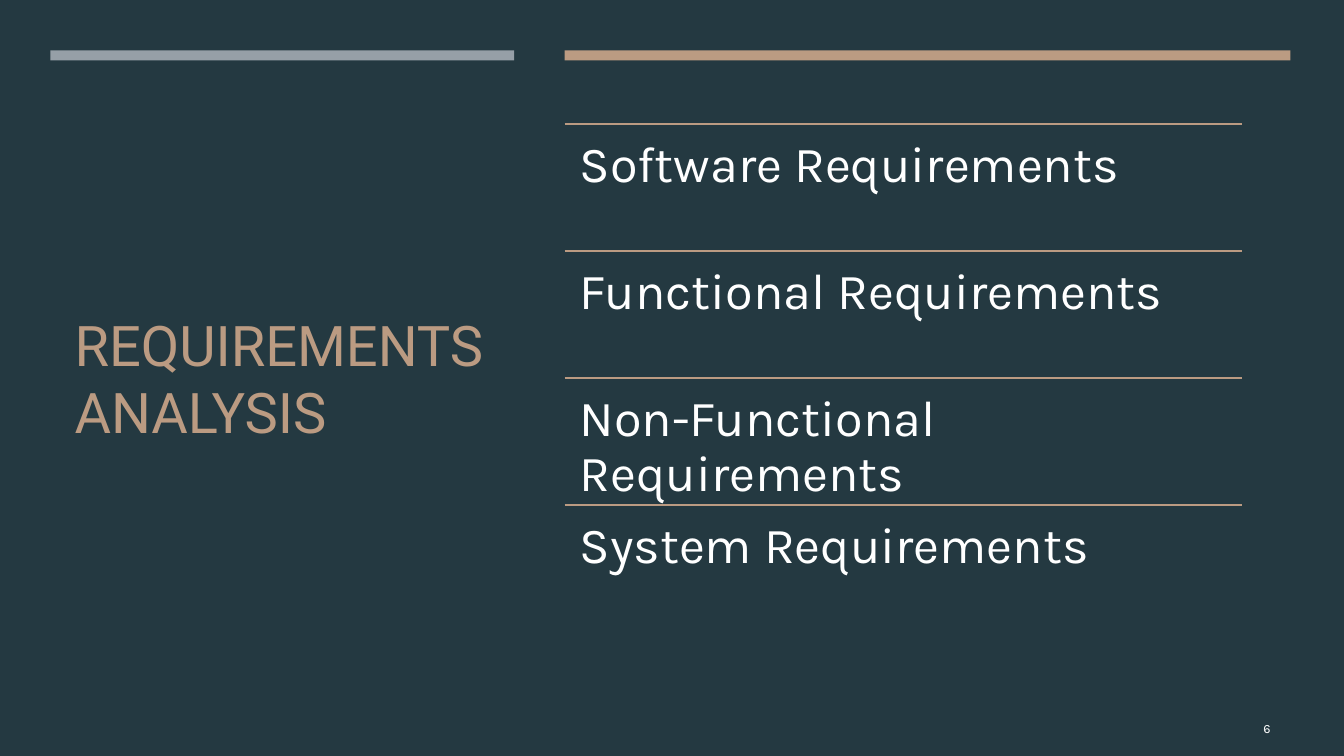
import pptx
import pptx.util
import pptx.dml.color
import pptx.enum.shapes
import pptx.enum.text
import pptx.oxml.ns
from lxml import etree

Inches = pptx.util.Inches
Pt = pptx.util.Pt
PP_ALIGN = pptx.enum.text.PP_ALIGN
MSO_ANCHOR = pptx.enum.text.MSO_ANCHOR

BACKGROUND, TAN, GREY, WHITE = "243941", "BB9B82", "969FA7", "FFFFFF"
TITLE = "REQUIREMENTS ANALYSIS"
REQUIREMENTS = [
    "Software Requirements",
    "Functional Requirements",
    "Non-Functional Requirements",
    "System Requirements",
]
PAGE_NUMBER = "6"
BARS = [(0.5, 4.6, GREY), (5.6, 7.2, TAN)]
LIST_LEFT, LIST_TOP, LIST_WIDTH, ROW_HEIGHT = 5.6, 1.23, 6.72, 1.26


def rgb(color):
    return pptx.dml.color.RGBColor.from_string(color)


def set_text(sp, text, size, font, color, align=PP_ALIGN.LEFT, anchor=MSO_ANCHOR.TOP):
    tf = sp.text_frame
    tf.text = text
    tf.word_wrap = True
    tf.auto_size = pptx.enum.text.MSO_AUTO_SIZE.NONE
    tf.vertical_anchor = anchor
    p = tf.paragraphs[0]
    p.alignment = align
    r = p.runs[0]
    r.font.size = Pt(size)
    r.font.name = font
    r.font.color.rgb = rgb(color)
    return tf


def add_bar(s, left, width, color):
    sp = s.shapes.add_shape(
        pptx.enum.shapes.MSO_SHAPE.RECTANGLE,
        Inches(left), Inches(0.5), Inches(width), Inches(0.1))
    sp.shadow.inherit = False
    sp.fill.solid()
    sp.fill.fore_color.rgb = rgb(color)
    sp.line.fill.background()


def add_requirement(s, top, text):
    rule = s.shapes.add_connector(
        pptx.enum.shapes.MSO_CONNECTOR.STRAIGHT,
        Inches(LIST_LEFT), Inches(top), Inches(LIST_LEFT + LIST_WIDTH), Inches(top))
    rule.line.color.rgb = rgb(TAN)
    rule.line.width = Pt(1.75)
    etree.SubElement(rule._element.spPr, pptx.oxml.ns.qn("a:effectLst"))

    sp = s.shapes.add_textbox(
        Inches(LIST_LEFT), Inches(top), Inches(LIST_WIDTH), Inches(ROW_HEIGHT))
    tf = set_text(sp, text, 36, "Karla", WHITE)
    tf.margin_left = tf.margin_right = tf.margin_top = tf.margin_bottom = Inches(0.15)
    tf.paragraphs[0].line_spacing = 0.9


def main():
    prs = pptx.Presentation()
    prs.slide_width, prs.slide_height = Inches(13.33), Inches(7.5)
    s = prs.slides.add_slide(prs.slide_layouts[5])
    s.background.fill.solid()
    s.background.fill.fore_color.rgb = rgb(BACKGROUND)

    title = s.shapes.title
    title.left, title.top = Inches(0.64), Inches(1.23)
    title.width, title.height = Inches(4.46), Inches(5.04)
    set_text(title, TITLE, 40, "Roboto", TAN, anchor=MSO_ANCHOR.MIDDLE)

    for left, width, color in BARS:
        add_bar(s, left, width, color)
    for i, text in enumerate(REQUIREMENTS):
        add_requirement(s, LIST_TOP + i * ROW_HEIGHT, text)

    number = s.shapes.add_textbox(Inches(11.55), Inches(7.03), Inches(1.15), Inches(0.4))
    set_text(number, PAGE_NUMBER, 9, "Karla", WHITE, PP_ALIGN.RIGHT, MSO_ANCHOR.MIDDLE)

    prs.save("out.pptx")


if __name__ == "__main__":
    main()
